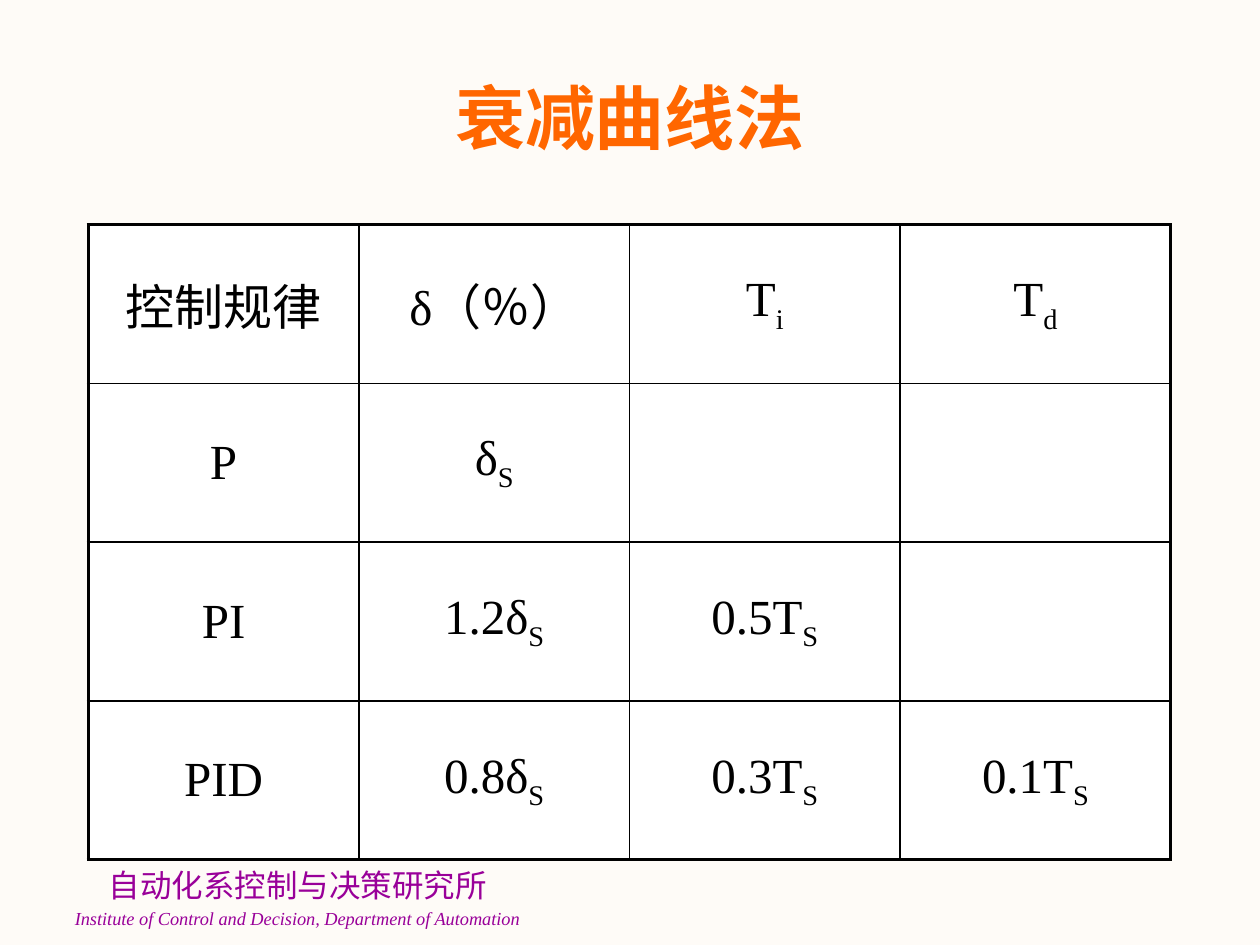
from lxml import etree
from pptx import Presentation
from pptx.dml.color import RGBColor
from pptx.enum.text import MSO_ANCHOR, PP_ALIGN
from pptx.oxml.ns import qn
from pptx.util import Cm, Pt

CENTER = PP_ALIGN.CENTER
MIDDLE = MSO_ANCHOR.MIDDLE
COLORS = {
    "background": "FEFBF7",
    "title": "FF6600",
    "institute": "990099",
    "cell": "FFFFFF",
    "ink": "000000",
}
CJK_FONT = "Noto Sans CJK JP"


def style_run(run, size, font, color, bold=False, italic=False):
    run.font.size = Pt(size)
    run.font.name = font
    run.font.color.rgb = RGBColor.from_string(COLORS[color])
    run.font.bold = bold
    run.font.italic = italic
    east_asian = etree.Element(qn("a:ea"), typeface=CJK_FONT)
    run.font._element.find(qn("a:latin")).addnext(east_asian)


def add_border(cell, side, width):
    """Add one cell border; call in the order L, R, T, B, before the fill."""
    line = etree.SubElement(cell._tc.get_or_add_tcPr(), qn(f"a:ln{side}"), w=str(Pt(width)))
    fill = etree.SubElement(line, qn("a:solidFill"))
    etree.SubElement(fill, qn("a:srgbClr"), val=COLORS["ink"])


prs = Presentation()
prs.slide_width = Cm(25.4)
prs.slide_height = Cm(19.05)
slide = prs.slides.add_slide(prs.slide_layouts[6])
slide.background.fill.solid()
slide.background.fill.fore_color.rgb = RGBColor.from_string(COLORS["background"])

# Institute name at the foot
institute = slide.shapes.add_textbox(Cm(0.3), Cm(17.34), Cm(11.4), Cm(1.6)).text_frame
institute.word_wrap = True
institute.text = "自动化系控制与决策研究所\nInstitute of Control and Decision, Department of Automation"
chinese_name, english_name = institute.paragraphs
chinese_name.alignment = english_name.alignment = CENTER
english_name.space_before = Pt(1.5)
style_run(chinese_name.runs[0], 18, CJK_FONT, "institute")
style_run(english_name.runs[0], 10.5, "Times New Roman", "institute", italic=True)

# Title
title = slide.shapes.add_textbox(Cm(1.27), Cm(0.76), Cm(22.86), Cm(3.18)).text_frame
title.word_wrap = True
title.vertical_anchor = MIDDLE
title.text = "衰减曲线法"
title.paragraphs[0].alignment = CENTER
style_run(title.paragraphs[0].runs[0], 40, "Arial", "title", bold=True)

# Tuning table: each entry is the text and its subscript
tuning_rows = [
    [("控制规律", ""), ("δ（％）", ""), ("T", "i"), ("T", "d")],
    [("P", ""), ("δ", "S"), ("", ""), ("", "")],
    [("PI", ""), ("1.2δ", "S"), ("0.5T", "S"), ("", "")],
    [("PID", ""), ("0.8δ", "S"), ("0.3T", "S"), ("0.1T", "S")],
]
last = len(tuning_rows) - 1
tuning = slide.shapes.add_table(4, 4, Cm(1.78), Cm(4.53), Cm(21.82), Cm(12.8)).table

for row, entries in enumerate(tuning_rows):
    for column, (symbol, subscript) in enumerate(entries):
        cell = tuning.cell(row, column)
        outer_edges = {"L": column == 0, "R": column == last, "T": row == 0, "B": row == last}
        for side, is_outer in outer_edges.items():
            add_border(cell, side, 2.25 if is_outer else 1)
        cell.fill.solid()
        cell.fill.fore_color.rgb = RGBColor.from_string(COLORS["cell"])
        cell.vertical_anchor = MIDDLE

        paragraph = cell.text_frame.paragraphs[0]
        paragraph.alignment = CENTER
        for text, baseline in ((symbol, 0), (subscript, -25000)):
            if text:
                run = paragraph.add_run()
                run.text = text
                style_run(run, 28, "Times New Roman", "ink")
                if baseline:
                    run.font._element.set("baseline", str(baseline))

prs.save("out.pptx")
